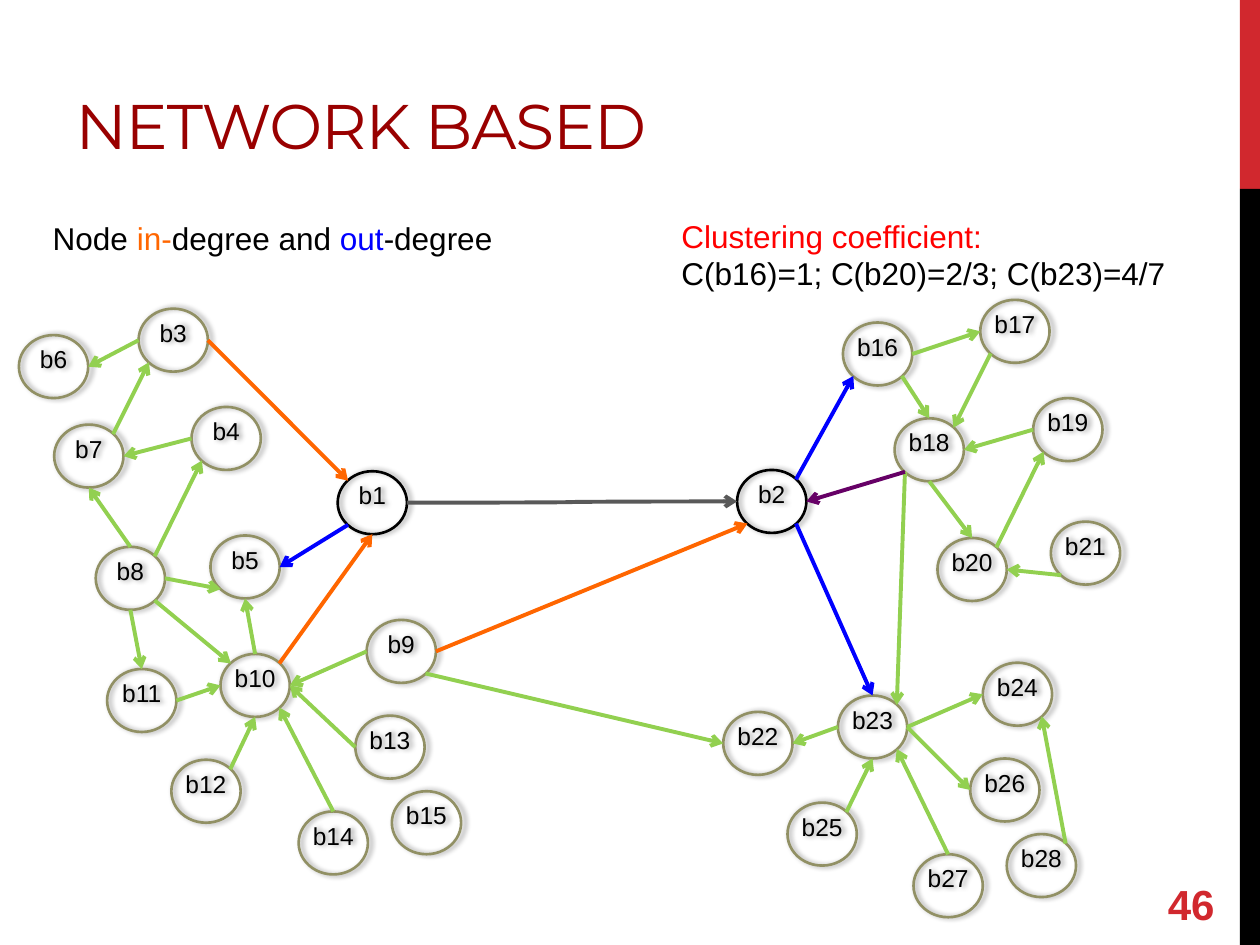
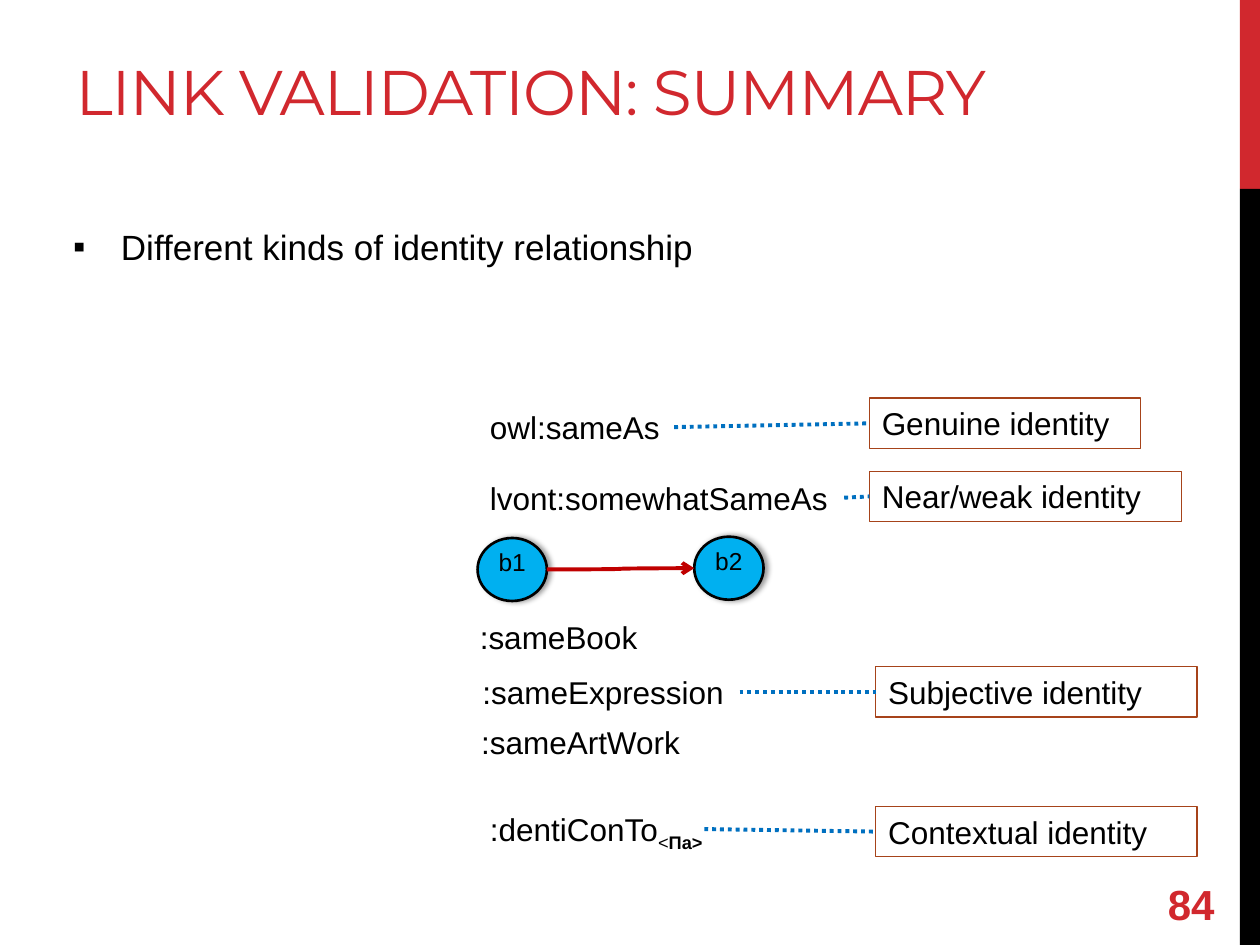
from pptx import Presentation
from pptx.dml.color import RGBColor
from pptx.enum.dml import MSO_LINE
from pptx.enum.shapes import MSO_CONNECTOR, MSO_SHAPE
from pptx.enum.text import MSO_ANCHOR, PP_ALIGN
from pptx.oxml.ns import qn
from pptx.util import Inches, Pt
from lxml import etree

STRAIGHT, CURVE = MSO_CONNECTOR.STRAIGHT, MSO_CONNECTOR.CURVE
RECTANGLE, OVAL = MSO_SHAPE.RECTANGLE, MSO_SHAPE.OVAL
TOP, MIDDLE, BOTTOM = MSO_ANCHOR.TOP, MSO_ANCHOR.MIDDLE, MSO_ANCHOR.BOTTOM
LEFT, CENTER = PP_ALIGN.LEFT, PP_ALIGN.CENTER
DOTS = MSO_LINE.ROUND_DOT
TITLE_ONLY, TITLE_AND_BODY = 5, 1
BODY_FONT, TITLE_FONT = "Arial", "Montserrat"

COLORS = {
    "accent": "D1282E", "dark red": "990000", "black": "000000",
    "node": "919064", "node fill": "00B0F0", "link": "92D050",
    "in": "FF6600", "out": "0000FF", "mutual": "660066",
    "main link": "595959", "identity link": "C00000",
    "heading": "FF0000", "box": "A6431A", "dots": "0070C0",
}

NODE_WIDTH, NODE_HEIGHT = 0.55, 0.5
# Points on a node's outline, as fractions of its width and height
SITES = {
    "top": (0.5, 0), "bottom": (0.5, 1), "left": (0, 0.5), "right": (1, 0.5),
    "top left": (0.15, 0.15), "top right": (0.85, 0.15),
    "bottom left": (0.15, 0.85), "bottom right": (0.85, 0.85),
}

# Node positions inside the network's box
NODES = {
    "b1": (2.68, 1.74), "b2": (5.85, 1.73), "b3": (1.1, 0.45),
    "b4": (1.52, 1.23), "b5": (1.67, 2.25), "b6": (0.15, 0.66),
    "b7": (0.43, 1.37), "b8": (0.76, 2.34), "b9": (2.91, 2.92),
    "b10": (1.75, 3.19), "b11": (0.85, 3.31), "b12": (1.36, 4.03),
    "b13": (2.82, 3.68), "b14": (2.37, 4.44), "b15": (3.11, 4.28),
    "b16": (6.69, 0.56), "b17": (7.78, 0.38), "b18": (7.1, 1.32),
    "b19": (8.2, 1.16), "b20": (7.44, 2.27), "b21": (8.34, 2.14),
    "b22": (5.74, 3.65), "b23": (6.65, 3.52), "b24": (7.8, 3.26),
    "b25": (6.25, 4.37), "b26": (7.7, 4.02), "b27": (7.25, 4.78),
    "b28": (7.99, 4.62),
}

# Edges by colour: source, its site, target, its site
EDGES = {
    "link": [
        ("b3", "left", "b6", "right"),
        ("b7", "top right", "b3", "bottom left"),
        ("b4", "left", "b7", "right"),
        ("b8", "top", "b7", "bottom"),
        ("b8", "top right", "b4", "bottom left"),
        ("b8", "right", "b5", "bottom left"),
        ("b8", "bottom right", "b10", "top left"),
        ("b8", "bottom", "b11", "top"),
        ("b9", "left", "b10", "right"),
        ("b9", "bottom right", "b22", "left"),
        ("b10", "top", "b5", "bottom"),
        ("b11", "right", "b10", "left"),
        ("b12", "top right", "b10", "bottom"),
        ("b13", "left", "b10", "right"),
        ("b14", "top", "b10", "bottom right"),
        ("b16", "right", "b17", "left"),
        ("b16", "bottom right", "b18", "top"),
        ("b17", "bottom left", "b18", "top right"),
        ("b18", "bottom", "b20", "top"),
        ("b18", "bottom left", "b23", "top right"),
        ("b19", "left", "b18", "right"),
        ("b20", "top right", "b19", "bottom left"),
        ("b21", "bottom left", "b20", "right"),
        ("b23", "left", "b22", "right"),
        ("b23", "right", "b24", "left"),
        ("b23", "right", "b26", "left"),
        ("b25", "top right", "b23", "bottom"),
        ("b27", "top", "b23", "bottom right"),
        ("b28", "top right", "b24", "bottom right"),
    ],
    "in": [
        ("b3", "right", "b1", "top left"),
        ("b10", "top right", "b1", "bottom"),
        ("b9", "right", "b2", "bottom left"),
    ],
    "out": [
        ("b1", "bottom left", "b5", "right"),
        ("b2", "top right", "b16", "bottom left"),
        ("b2", "bottom right", "b23", "top"),
    ],
    "mutual": [("b18", "bottom left", "b2", "right")],
}

# Label runs, label left, top and width, then box text, left, top and width
IDENTITY_ROWS = [
    (["owl:sameAs"], (0.09, 0.19, 1.56), "Genuine identity", (3.2, 0.16, 2.15)),
    (["lvont:somewhatSameAs"], (0.09, 0.75, 2.91),
     "Near/weak identity", (3.2, 0.74, 2.48)),
    ([":sameBook"], (0.01, 1.86, 1.46), None, None),
    ([":sameExpression"], (0.03, 2.29, 2.14),
     "Subjective identity", (3.25, 2.29, 2.55)),
    ([":sameArtWork"], (0.02, 2.69, 1.8), None, None),
    ([":dentiConTo", ("<", {"baseline": -25}), ("Πa>", {"baseline": -25, "bold": True})],
     (0.09, 3.38, 1.96), "Contextual identity", (3.25, 3.4, 2.55)),
]
SUBSCRIPT_OVERLAP = 0.16


def rgb(name):
    return RGBColor.from_string(COLORS[name])


def inches(*lengths):
    return [Inches(length) for length in lengths]


def format_run(run, size=18, color="black", font=BODY_FONT, bold=False,
               spacing=None, baseline=None):
    run.font.size = Pt(size)
    run.font.name = font
    run.font.bold = bold
    run.font.color.rgb = rgb(color)
    properties = run._r.get_or_add_rPr()
    if spacing is not None:
        properties.set("spc", str(round(spacing * 100)))
    if baseline is not None:
        properties.set("baseline", str(baseline * 1000))


def write(shape, *paragraphs, align=LEFT, anchor=TOP, wrap=True, margins=None,
          **run_format):
    """Each paragraph is a list of strings or (string, format changes) pairs."""
    frame = shape.text_frame
    frame.word_wrap = wrap
    frame.vertical_anchor = anchor
    if margins:
        (frame.margin_left, frame.margin_top,
         frame.margin_right, frame.margin_bottom) = inches(*margins)
    for index, runs in enumerate(paragraphs):
        paragraph = frame.add_paragraph() if index else frame.paragraphs[0]
        paragraph.alignment = align
        for item in runs:
            text, changes = (item, {}) if isinstance(item, str) else item
            run = paragraph.add_run()
            run.text = text
            format_run(run, **{**run_format, **changes})


def add_text(slide, box, *paragraphs, **text_format):
    shape = slide.shapes.add_textbox(*inches(*box))
    write(shape, *paragraphs, **text_format)
    return shape


def add_preset(slide, kind, box, fill=None, line=None, width=1.0):
    shape = slide.shapes.add_shape(kind, *inches(*box))
    shape.shadow.inherit = False
    if fill:
        shape.fill.solid()
        shape.fill.fore_color.rgb = rgb(fill)
    else:
        shape.fill.background()
    if line:
        shape.line.color.rgb = rgb(line)
        shape.line.width = Pt(width)
    else:
        shape.line.fill.background()
    return shape


def add_line(slide, start, end, color, kind=STRAIGHT, arrow=True, dash=None):
    connector = slide.shapes.add_connector(kind, *inches(*start, *end))
    connector.line.color.rgb = rgb(color)
    connector.line.width = Pt(2.25)
    if dash:
        connector.line.dash_style = dash
    if arrow:
        etree.SubElement(connector.line._get_or_add_ln(), qn("a:tailEnd"), type="arrow")
    etree.SubElement(connector._element.spPr, qn("a:effectLst"))
    return connector


def add_node(slide, name, position, line="node", fill=None):
    node = add_preset(slide, OVAL, (*position, NODE_WIDTH, NODE_HEIGHT), fill, line, 1.5)
    effects = node._element.spPr.find(qn("a:effectLst"))
    shadow = etree.SubElement(effects, qn("a:outerShdw"), blurRad=str(Pt(3.1)),
                              dist=str(Pt(1.8)), dir="0", rotWithShape="0")
    color = etree.SubElement(shadow, qn("a:srgbClr"), val=COLORS["black"])
    etree.SubElement(color, qn("a:alpha"), val="40000")
    write(node, [name], size=14, align=CENTER, margins=(0, 0, 0, 0))


def site_point(position, site):
    across, down = SITES[site]
    return position[0] + across * NODE_WIDTH, position[1] + down * NODE_HEIGHT


def add_node_link(slide, source, source_site, target, target_site, color, kind=STRAIGHT):
    add_line(slide, site_point(source, source_site), site_point(target, target_site),
             color, kind)


def add_base_slide(presentation, layout, title, title_box, number,
                   title_color="accent", title_bottom=0.05):
    """Slide with the side bands, the title and the page number."""
    slide = presentation.slides.add_slide(presentation.slide_layouts[layout])
    for color, top, height in (("accent", 0, 1.5), ("black", 1.5, 6)):
        add_preset(slide, RECTANGLE, (9.84, top, 0.16, height), color)
    heading = slide.shapes.title
    heading.left, heading.top, heading.width, heading.height = inches(*title_box)
    write(heading, [title], anchor=BOTTOM, margins=(0.1, 0.05, 0.1, title_bottom),
          size=36, font=TITLE_FONT, color=title_color, spacing=-0.6)
    add_text(slide, (9.17, 6.97, 0.83, 0.4), [str(number)], anchor=MIDDLE,
             size=24, color="accent", bold=True)
    return slide


def add_network(slide, left, top):
    positions = {name: (left + x, top + y) for name, (x, y) in NODES.items()}
    for name, position in positions.items():
        add_node(slide, name, position, "black" if name in ("b1", "b2") else "node")
    add_node_link(slide, positions["b1"], "right", positions["b2"], "left",
                  "main link", CURVE)
    for color, edges in EDGES.items():
        for source, source_site, target, target_site in edges:
            add_node_link(slide, positions[source], source_site,
                          positions[target], target_site, color)


def add_identity_kinds(slide, left, top):
    first, second = (left + 0.09, top + 1.27), (left + 1.81, top + 1.26)
    for name, position in (("b1", first), ("b2", second)):
        add_node(slide, name, position, "black", "node fill")
    add_node_link(slide, first, "right", second, "left", "identity link", CURVE)
    for runs, (x, y, width), kind, kind_box in IDENTITY_ROWS:
        label = add_text(slide, (left + x, top + y, width, 0.4), runs, wrap=False)
        if not kind:
            continue
        box_x, box_y, box_width = kind_box
        box = add_preset(slide, RECTANGLE, (left + box_x, top + box_y, box_width, 0.4),
                         line="box", width=0.75)
        write(box, [kind])
        has_subscript = len(runs) > 1
        start = (left + x + width - SUBSCRIPT_OVERLAP, top + y + 0.2)
        link = add_line(slide, start, (left + box_x, top + box_y + 0.2), "dots",
                        arrow=False, dash=DOTS)
        if not has_subscript:
            link.begin_connect(label, 3)
        link.end_connect(box, 1)


def add_bullet(body, box, text):
    body.left, body.top, body.width, body.height = inches(*box)
    properties = body.text_frame.paragraphs[0]._p.get_or_add_pPr()
    properties.set("marL", str(Inches(0.38)))
    properties.set("indent", str(-Inches(0.38)))
    etree.SubElement(properties, qn("a:buFont"), typeface=BODY_FONT)
    etree.SubElement(properties, qn("a:buChar"), char="▪")
    write(body, [text], size=20, margins=(0.1, 0.08, 0.1, 0.05))
    body.text_frame.paragraphs[0].space_before = Pt(0)
    body.text_frame.paragraphs[0].space_after = Pt(6)


def build_network_slide(presentation):
    slide = add_base_slide(presentation, TITLE_ONLY, "NETWORK BASED",
                           (0.5, 0.17, 8.39, 1.17), 46, title_color="dark red")
    add_network(slide, 0, 2)
    add_text(slide, (0.32, 1.69, 3.69, 0.4),
             ["Node ", ("in-", {"color": "in"}), "degree and ",
              ("out", {"color": "out"}), "-degree"])
    add_text(slide, (5.31, 1.67, 4.25, 0.71),
             [("Clustering coefficient:", {"color": "heading"})],
             ["C(b16)=1; C(b20)=2/3; C(b23)=4/7"])


def build_summary_slide(presentation):
    slide = add_base_slide(presentation, TITLE_AND_BODY, "LINK VALIDATION: SUMMARY",
                           (0.5, 0.17, 8.67, 1.5), 84, title_bottom=0.65)
    add_bullet(slide.placeholders[1], (0.48, 1.71, 9.52, 5.12),
               "Different kinds of identity relationship")
    add_identity_kinds(slide, 3.7, 3)


def main():
    presentation = Presentation()
    presentation.slide_width, presentation.slide_height = inches(10, 7.5)
    build_network_slide(presentation)
    build_summary_slide(presentation)
    presentation.save("out.pptx")


if __name__ == "__main__":
    main()
